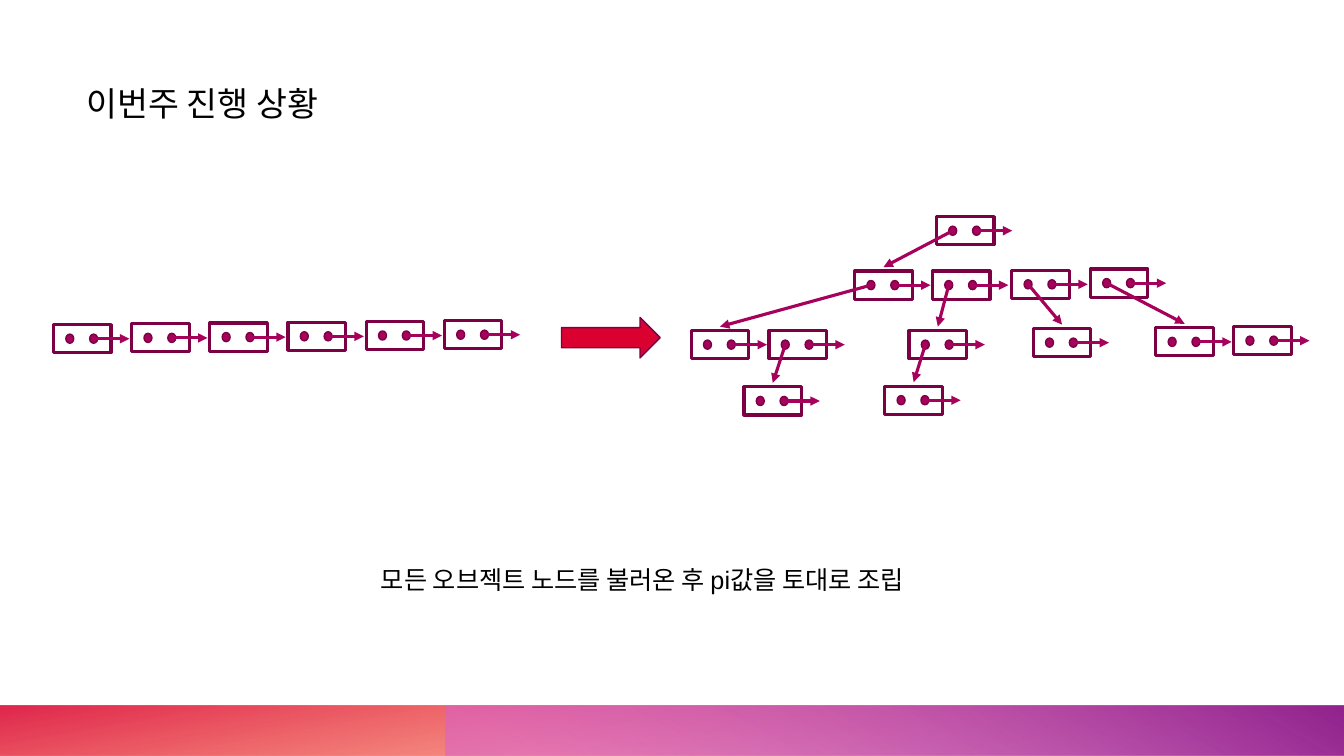
"""Builds a slide on assembling a list of object nodes into a tree."""
import pptx
import pptx.dml.color
import pptx.enum.shapes
import pptx.enum.text
import pptx.oxml.ns
import pptx.util
from lxml import etree

Cm = pptx.util.Cm
Pt = pptx.util.Pt
SHAPES = pptx.enum.shapes.MSO_SHAPE
qn = pptx.oxml.ns.qn

NODE_WIDTH, NODE_HEIGHT = 1.45, 0.71
DOT_WIDTH, DOT_HEIGHT = 0.2, 0.23
DOT_CENTRES = (0.41, 1.01)
LINK_REACH = 1.91
CHILD_GAP = 0.1


def colour(hex_code):
    return pptx.dml.color.RGBColor.from_string(hex_code)


class NodeSlide:
    font = "Arial"
    ink = "000000"
    outline = "7B0144"
    accent = "A6025C"
    signal = "DA002F"

    def __init__(self, slide):
        self.slide = slide

    def set_text(self, box, text, size):
        frame = box.text_frame
        frame.word_wrap = True
        frame.auto_size = pptx.enum.text.MSO_AUTO_SIZE.NONE
        frame.vertical_anchor = pptx.enum.text.MSO_ANCHOR.TOP
        frame.text = text
        paragraph = frame.paragraphs[0]
        paragraph.alignment = pptx.enum.text.PP_ALIGN.LEFT
        paragraph.font.name = self.font
        paragraph.font.size = Pt(size)
        paragraph.font.color.rgb = colour(self.ink)

    def title(self, text, left, top, width, height):
        heading = self.slide.shapes.title
        heading.left, heading.top = Cm(left), Cm(top)
        heading.width, heading.height = Cm(width), Cm(height)
        self.set_text(heading, text, 24)

    def caption(self, text, left, top, width, height):
        box = self.slide.shapes.add_textbox(Cm(left), Cm(top), Cm(width), Cm(height))
        self.set_text(box, text, 18)

    def shape(self, kind, left, top, width, height, fill=None, line_width=None):
        item = self.slide.shapes.add_shape(kind, Cm(left), Cm(top), Cm(width), Cm(height))
        item.shadow.inherit = False
        if fill:
            item.fill.solid()
            item.fill.fore_color.rgb = colour(fill)
        else:
            item.fill.background()
        if line_width:
            item.line.color.rgb = colour(self.outline)
            item.line.width = Pt(line_width)
        else:
            item.line.fill.background()
        return item

    def footer_band(self, left, top, width, height, stops, angle, rotation=0):
        band = self.shape(SHAPES.RECTANGLE, left, top, width, height)
        band.rotation = rotation
        properties = band._element.spPr
        properties.find(qn("a:xfrm")).set("flipH", "1")
        band.fill.gradient()
        band.fill.gradient_angle = 360 - angle
        for stop, (position, hex_code, _) in zip(band.fill.gradient_stops, stops):
            stop.position = position / 100
            stop.color.rgb = colour(hex_code)
        for rgb, (_, _, opacity) in zip(properties.iter(qn("a:srgbClr")), stops):
            etree.SubElement(rgb, qn("a:alpha")).set("val", str(opacity * 1000))

    def arrow(self, start, end):
        points = [Cm(value) for value in (*start, *end)]
        link = self.slide.shapes.add_connector(pptx.enum.shapes.MSO_CONNECTOR.STRAIGHT, *points)
        link.line.color.rgb = colour(self.accent)
        link.line.width = Pt(2.25)
        properties = link._element.spPr
        etree.SubElement(properties.find(qn("a:ln")), qn("a:tailEnd")).set("type", "triangle")
        etree.SubElement(properties, qn("a:effectLst"))

    def node(self, left, top):
        middle = top + NODE_HEIGHT / 2
        self.shape(SHAPES.RECTANGLE, left, top, NODE_WIDTH, NODE_HEIGHT, line_width=2.25)
        for centre in DOT_CENTRES:
            self.shape(SHAPES.OVAL, left + centre - DOT_WIDTH / 2, middle - DOT_HEIGHT / 2,
                       DOT_WIDTH, DOT_HEIGHT, self.accent, 1)
        self.arrow((left + DOT_CENTRES[1], middle), (left + LINK_REACH, middle))

    def child_link(self, parent, child):
        self.arrow((parent[0] + DOT_CENTRES[0], parent[1] + NODE_HEIGHT / 2),
                   (child[0] + NODE_WIDTH / 2, child[1] - CHILD_GAP))


def main():
    presentation = pptx.Presentation()
    presentation.slide_width, presentation.slide_height = Cm(33.87), Cm(19.05)
    page = NodeSlide(presentation.slides.add_slide(presentation.slide_layouts[5]))

    page.footer_band(0, 17.78, 33.87, 1.27,
                     [(14, "FE4A00", 28), (100, "DA002F", 85)], 100, rotation=180)
    page.footer_band(11.22, 17.78, 22.65, 1.27,
                     [(9, "D861D4", 55), (99, "92248E", 100)], 240)
    page.title("이번주 진행 상황", 1.93, 1.96, 7.62, 1.27)
    page.caption("모든 오브젝트 노드를 불러온 후 pi값을 토대로 조립", 9.35, 14.1, 27.18, 2.57)

    for index in range(6):
        page.node(1.35 + 1.97 * index, 8.18 - 0.02 * index)

    page.shape(SHAPES.RIGHT_ARROW, 14.15, 8, 2.49, 1.02, page.signal, 1)

    tree = {
        "root": (23.6, 5.46),
        "a": (21.54, 6.83), "b": (23.5, 6.83), "c": (25.5, 6.81), "d": (27.48, 6.78),
        "a1": (17.42, 8.33), "a2": (19.38, 8.33), "b1": (22.91, 8.33),
        "c1": (26.04, 8.28), "d1": (29.13, 8.26), "d2": (31.09, 8.23),
        "a2x": (18.75, 9.75), "b1x": (22.3, 9.73),
    }
    first_children = {"root": "a", "a": "a1", "b": "b1", "c": "c1", "d": "d1",
                      "a2": "a2x", "b1": "b1x"}
    for place in tree.values():
        page.node(*place)
    for parent, child in first_children.items():
        page.child_link(tree[parent], tree[child])

    presentation.save("out.pptx")


if __name__ == "__main__":
    main()
